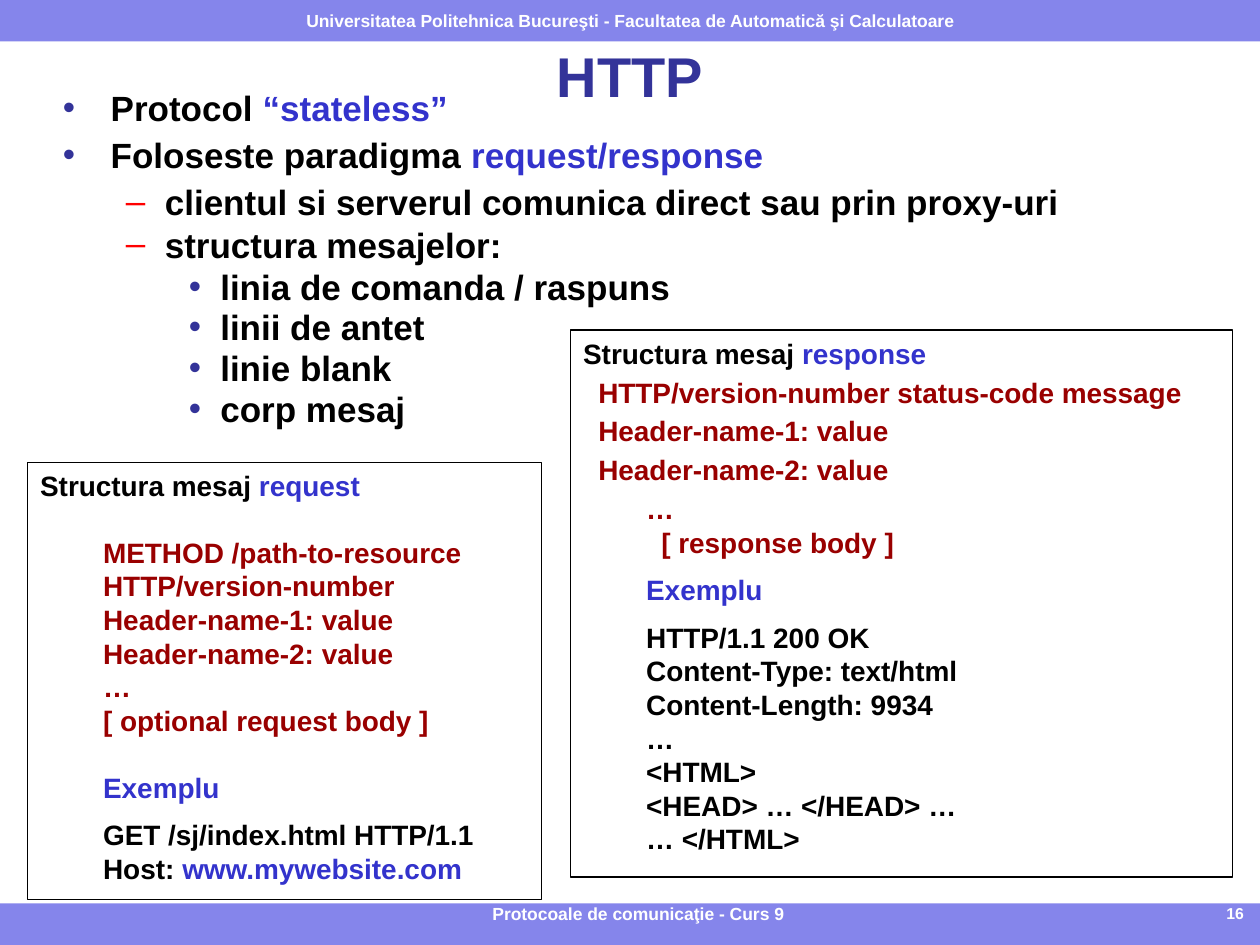
from lxml import etree
from pptx import Presentation
from pptx import util as u
from pptx.dml.color import RGBColor
from pptx.enum import shapes, text
from pptx.oxml.ns import qn

FONT = "Arial"
BAR = RGBColor(0x85, 0x85, 0xEB)
NAVY = RGBColor(0x33, 0x33, 0x99)
BLUE = RGBColor(0x33, 0x33, 0xCC)
RED = RGBColor(0xFF, 0x00, 0x00)
MAROON = RGBColor(0x99, 0x00, 0x00)
BLACK = RGBColor(0, 0, 0)
WHITE = RGBColor(0xFF, 0xFF, 0xFF)

# Per outline level: left margin, hanging indent, space after, bullet, bullet colour
LEVELS = [
    (0.38, 0.38, 5.8, "•", NAVY),
    (0.81, 0.31, 2.9, "–", RED),
    (1.25, 0.25, 2, "•", NAVY),
]
OUTLINE = [
    (0, [("Protocol ", BLACK), ("“stateless”", BLUE)]),
    (0, [("Foloseste paradigma ", BLACK), ("request/response", BLUE)]),
    (1, [("clientul si serverul comunica direct sau prin proxy-uri", BLACK)]),
    (1, [("structura mesajelor:", BLACK)]),
    (2, [("linia de comanda / raspuns", BLACK)]),
    (2, [("linii de antet", BLACK)]),
    (2, [("linie blank", BLACK)]),
    (2, [("corp mesaj", BLACK)]),
]

# Message lines: spans, left margin, space before, space after
REQUEST = [
    ([("Structura mesaj ", BLACK), ("request", BLUE)], 0, 0, 19),
    ([("METHOD /path-to-resource HTTP/version-number", MAROON)], 0.5, 0, 0),
    ([("Header-name-1: value", MAROON)], 0.5, 0, 0),
    ([("Header-name-2: value", MAROON)], 0.5, 0, 0),
    ([("…", MAROON)], 0.5, 0, 0),
    ([("[ optional request body ]", MAROON)], 0.5, 0, 0),
    ([("Exemplu", BLUE)], 0.5, 19, 8),
    ([("GET /sj/index.html HTTP/1.1", BLACK)], 0.5, 0, 0),
    ([("Host: ", BLACK), ("www.mywebsite.com", BLUE)], 0.5, 0, 0),
]
RESPONSE = [
    ([("Structura mesaj ", BLACK), ("response", BLUE)], 0, 0, 3),
    ([("HTTP/version-number status-code message", MAROON)], 0.12, 0, 3),
    ([("Header-name-1: value", MAROON)], 0.12, 0, 3),
    ([("Header-name-2: value", MAROON)], 0.12, 0, 3),
    ([("…", MAROON)], 0.5, 0, 0),
    ([("[ response body ]", MAROON)], 0.62, 0, 0),
    ([("Exemplu", BLUE)], 0.5, 8, 8),
] + [
    ([(line, BLACK)], 0.5, 0, 0)
    for line in ("HTTP/1.1 200 OK", "Content-Type: text/html",
                 "Content-Length: 9934", "…", "<HTML>",
                 "<HEAD> … </HEAD> …", "… </HTML>")
]


def add_rectangle(page, left, top, width, height, fill=None, line=None):
    box = page.shapes.add_shape(
        shapes.MSO_SHAPE.RECTANGLE,
        u.Inches(left), u.Inches(top), u.Inches(width), u.Inches(height))
    box.shadow.inherit = False
    if fill is None:
        box.fill.background()
    else:
        box.fill.solid()
        box.fill.fore_color.rgb = fill
    if line is None:
        box.line.fill.background()
    else:
        box.line.color.rgb = line
        box.line.width = u.Pt(0.75)
    return box


def add_text_box(page, left, top, width, height):
    box = page.shapes.add_textbox(
        u.Inches(left), u.Inches(top), u.Inches(width), u.Inches(height))
    box.text_frame.word_wrap = True
    return box


def add_spans(para, spans, size):
    for words, colour in spans:
        span = para.add_run()
        span.text = words
        span.font.name = FONT
        span.font.size = u.Pt(size)
        span.font.bold = True
        span.font.color.rgb = colour


def write_line(box, words, size, colour, align, anchor):
    frame = box.text_frame
    frame.vertical_anchor = anchor
    para = frame.paragraphs[0]
    para.alignment = align
    add_spans(para, [(words, colour)], size)


def next_paragraph(frame, index):
    return frame.paragraphs[0] if index == 0 else frame.add_paragraph()


def set_indent(para, margin, hanging=0):
    properties = para._p.get_or_add_pPr()
    properties.set("marL", str(u.Inches(margin)))
    properties.set("indent", str(-u.Inches(hanging)))
    return properties


def set_bullet(properties, mark, colour):
    holder = etree.SubElement(properties, qn("a:buClr"))
    etree.SubElement(holder, qn("a:srgbClr")).set("val", str(colour))
    etree.SubElement(properties, qn("a:buFont")).set("typeface", FONT)
    etree.SubElement(properties, qn("a:buChar")).set("char", mark)


def add_outline(page):
    frame = add_text_box(page, 0.4, 0.7, 9.31, 2.84).text_frame
    for index, (level, spans) in enumerate(OUTLINE):
        margin, hanging, after, mark, colour = LEVELS[level]
        para = next_paragraph(frame, index)
        para.level = level
        set_bullet(set_indent(para, margin, hanging), mark, colour)
        para.line_spacing = 0.8
        para.space_before = u.Pt(2 if index else 0)
        para.space_after = u.Pt(after)
        add_spans(para, spans, 20)


def add_message(page, left, top, width, height, lines):
    """Draw an outlined box that holds one message layout and its example."""
    frame = add_rectangle(page, left, top, width, height, line=BLACK).text_frame
    frame.word_wrap = True
    frame.vertical_anchor = text.MSO_ANCHOR.TOP
    for index, (spans, margin, before, after) in enumerate(lines):
        para = next_paragraph(frame, index)
        para.alignment = text.PP_ALIGN.LEFT
        set_indent(para, margin)
        para.space_before = u.Pt(before)
        para.space_after = u.Pt(after)
        add_spans(para, spans, 16)


def add_footer(page, left, width, words, size, align):
    box = add_text_box(page, left, 7.17, width, 0.3)
    box.text_frame.margin_top = 0
    write_line(box, words, size, WHITE, align, text.MSO_ANCHOR.TOP)


def main():
    deck = Presentation()
    deck.slide_width, deck.slide_height = u.Inches(10), u.Inches(7.5)
    page = deck.slides.add_slide(deck.slide_layouts[6])
    center, middle = text.PP_ALIGN.CENTER, text.MSO_ANCHOR.MIDDLE

    add_rectangle(page, 0, 7.17, 10, 0.33, fill=BAR)
    header = add_rectangle(page, 0, 0, 10, 0.33, fill=BAR)
    write_line(
        header,
        "Universitatea Politehnica Bucureşti - Facultatea de Automatică şi Calculatoare",
        10, WHITE, center, middle)
    title = add_text_box(page, 0, 0.35, 10, 0.49)
    write_line(title, "HTTP", 32, NAVY, center, middle)

    add_outline(page)
    add_message(page, 0.22, 3.67, 4.08, 3.47, REQUEST)
    add_message(page, 4.53, 2.62, 5.25, 4.34, RESPONSE)
    add_footer(page, 7.67, 2.3, "16", 9, text.PP_ALIGN.RIGHT)
    add_footer(page, 2.58, 4.97, "Protocoale de comunicaţie - Curs 9", 10, center)
    deck.save("out.pptx")


if __name__ == "__main__":
    main()
